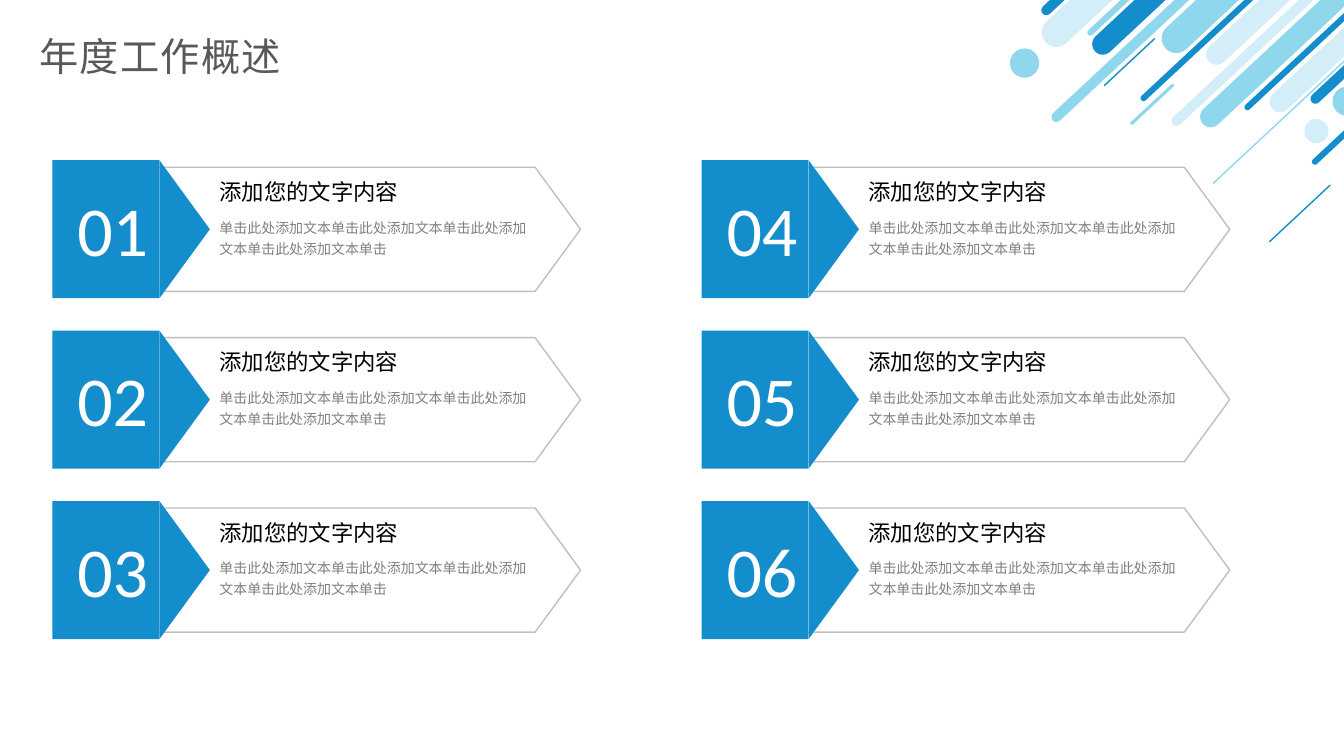
from lxml import etree
from pptx import Presentation
from pptx.dml.color import RGBColor
from pptx.enum.shapes import MSO_SHAPE
from pptx.enum.text import PP_ALIGN
from pptx.oxml.ns import qn
from pptx.util import Pt

BAR, DOT = MSO_SHAPE.ROUNDED_RECTANGLE, MSO_SHAPE.OVAL
RECT, TRIANGLE = MSO_SHAPE.RECTANGLE, MSO_SHAPE.ISOSCELES_TRIANGLE
LEFT, CENTER = PP_ALIGN.LEFT, PP_ALIGN.CENTER
HAN, LATIN = "Noto Sans CJK SC", "Calibri"
COLORS = {
    "pale": "D3EEF9", "light": "8FD7ED", "blue": "138DCC", "white": "FFFFFF",
    "outline": "BFBFBF", "title": "595959", "heading": "000000", "body": "808080",
}

deck = Presentation()
deck.slide_width, deck.slide_height = Pt(960), Pt(540)
page = deck.slides.add_slide(deck.slide_layouts[6])


def add_solid(kind, left, top, width, height, color, rotation=0):
    shape = page.shapes.add_shape(kind, Pt(left), Pt(top), Pt(width), Pt(height))
    shape.shadow.inherit = False
    shape.fill.solid()
    shape.fill.fore_color.rgb = RGBColor.from_string(COLORS[color])
    shape.line.fill.background()
    shape.rotation = rotation
    return shape


def add_text(words, left, top, width, height, size, color, font=HAN,
             spacing=0.84, align=LEFT, wrap=True):
    box = page.shapes.add_textbox(Pt(left), Pt(top), Pt(width), Pt(height))
    box.text_frame.word_wrap = wrap
    para = box.text_frame.paragraphs[0]
    para.alignment, para.line_spacing = align, spacing
    span = para.add_run()
    span.text = words
    span.font.name, span.font.size = font, Pt(size)
    span.font.color.rgb = RGBColor.from_string(COLORS[color])
    etree.SubElement(span.font._element, qn("a:ea"), typeface=font)
    return span


# Slanted bars in the corner: left, top, length, thickness, colour
LONG = 136.1
bars = [
    (728.6, -26.6, LONG, 20.9, "pale"),
    (758.9, -23.8, LONG, 4.3, "light"),
    (763.9, -17.3, LONG, 15.1, "blue"),
    (733.7, 36, LONG, 7.2, "light"),
    (814.3, -22.3, LONG, 20.9, "light"),
    (797, 23, LONG, 4.3, "blue"),
    (845.3, -10.1, LONG, 15.1, "pale"),
    (819.4, 38.9, LONG, 7.2, "pale"),
    (841, 34.6, LONG, 15.1, "light"),
    (871.2, 29.5, LONG, 4.3, "blue"),
    (890.6, 23.8, LONG, 15.1, "pale"),
    (918.7, 23, LONG, 7.2, "blue"),
    (726.5, -40.3, LONG, 7.2, "blue"),
    (919.4, 68.4, LONG, 4.3, "blue"),
    (848.2, 84.2, LONG, 1, "light"),
    (898.6, 151.9, 59.8, 1, "blue"),
    (802.1, 73.4, 41.8, 2.2, "light"),
    (781.9, 43.9, 49.7, 1, "blue"),
]
for left, top, length, thickness, color in bars:
    bar = add_solid(BAR, left, top, length, thickness, color, 317)
    bar.adjustments[0] = 0.5

# Dots in the corner
dots = [(931.7, 85, 17.3, "pale"), (951.8, 61.9, 20.9, "light"),
        (721.4, 34.6, 20.9, "light")]
for left, top, size, color in dots:
    add_solid(DOT, left, top, size, size, color)

# Six numbered cards, filled column by column
ARROW = [(21.6, 5), (344.9, 5), (377.3, 49.3), (344.9, 93.6), (21.6, 93.6)]
for index in range(6):
    column, row = divmod(index, 3)
    x, y = 37.4 + 463.7 * column, 114.5 + 121.7 * row

    # Outlined arrow behind the text
    corners = [(Pt(x + dx), Pt(y + dy)) for dx, dy in ARROW]
    builder = page.shapes.build_freeform(*corners[0])
    builder.add_line_segments(corners[1:], close=True)
    arrow = builder.convert_to_shape()
    arrow.shadow.inherit = False
    arrow.fill.solid()
    arrow.fill.fore_color.rgb = RGBColor.from_string(COLORS["white"])
    arrow.line.color.rgb = RGBColor.from_string(COLORS["outline"])
    arrow.line.width = Pt(1)

    # Blue number tag
    add_solid(RECT, x, y, 76.3, 98.6, "blue")
    add_solid(TRIANGLE, x + 45.2, y + 31.3, 98.6, 36, "blue", 90)

    # Card text
    add_text("单击此处添加文本单击此处添加文本单击此处添加文本单击此处添加文本单击",
             x + 112.3, y + 35.3, 235, 41.8, 10, "body", spacing=1.26)
    add_text("添加您的文字内容", x + 112.3, y + 12.2, 142.6, 26.6, 16, "heading", wrap=False)
    add_text(f"{index + 1:02}", x, y + 15.1, 86.4, 67.7, 50, "white",
             font=LATIN, spacing=1.0, align=CENTER)

# Slide title
title = add_text("年度工作概述", 20.9, 25.2, 938.9, 41, 28, "title")
title.font._element.set("spc", "100")

deck.save("out.pptx")
